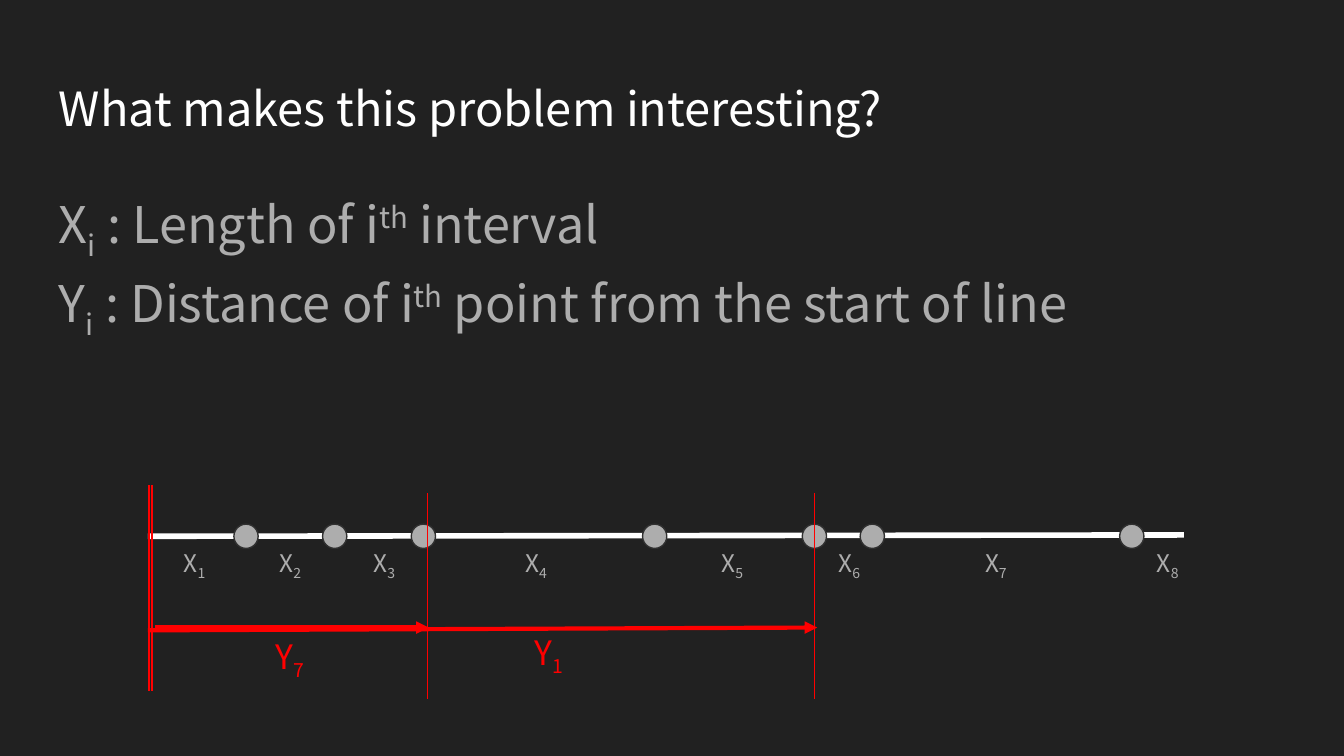
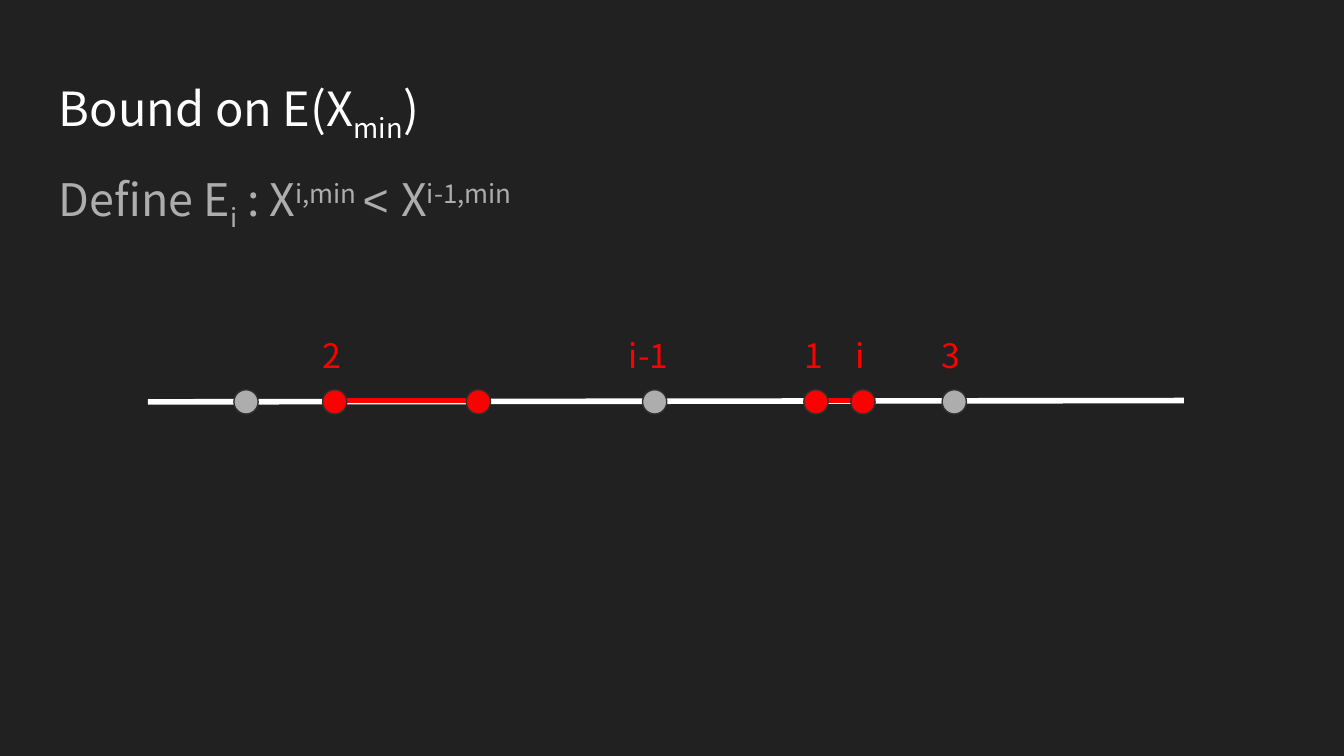
from dataclasses import dataclass
from typing import NamedTuple

from lxml import etree
from pptx import Presentation
from pptx.dml.color import RGBColor
from pptx.enum.shapes import MSO_CONNECTOR as Connector, MSO_SHAPE as Preset
from pptx.enum.text import MSO_AUTO_SIZE as AutoSize
from pptx.oxml.ns import qn
from pptx.shapes.connector import Connector as Line
from pptx.shapes.shapetree import _BaseGroupShapes as Canvas
from pptx.slide import Slide
from pptx.util import Pt


@dataclass(frozen=True)
class Theme:
    """Colours, font, type sizes and line widths of the deck."""
    font: str = "Noto Sans CJK KR"
    symbol_font: str = "Arial"
    background: RGBColor = RGBColor(0x21, 0x21, 0x21)
    white: RGBColor = RGBColor(0xFF, 0xFF, 0xFF)
    grey: RGBColor = RGBColor(0xAD, 0xAD, 0xAD)
    outline: RGBColor = RGBColor(0x30, 0x30, 0x30)
    red: RGBColor = RGBColor(0xFF, 0x00, 0x00)
    title_size: float = 25.2
    body_size: float = 27
    define_size: float = 24
    label_size: float = 13
    mark_size: float = 18
    inset: float = 7.2
    dot: float = 13
    thin: float = 0.75
    medium: float = 2.25
    thick: float = 3


THEME = Theme()
SUB, SUPER = -25000, 30000


class Piece(NamedTuple):
    """A stretch of text with its baseline shift and font."""
    text: str
    shift: int = 0
    font: str = THEME.font


class Box(NamedTuple):
    """A rectangle in points."""
    left: float
    top: float
    width: float
    height: float


class Style(NamedTuple):
    """The look of a text box."""
    size: float
    color: RGBColor
    line_spacing: float | None = None
    space_after: float | None = None
    grows: bool = True


class Point(NamedTuple):
    """A place in points."""
    x: float
    y: float


class Span(NamedTuple):
    """A measured distance with its end marks, arrow and label."""
    index: str
    start_x: float
    end_x: float
    tail: Point
    head: Point
    label: Box


class Number(NamedTuple):
    """A red number above the axis."""
    text: str
    left: float
    width: float = 31.7


TITLE = Style(THEME.title_size, THEME.white, grows=False)
BODY = Style(THEME.body_size, THEME.grey, 1.15, grows=False)
DEFINITION = Style(THEME.define_size, THEME.grey, 1.15, 12)
LABEL = Style(THEME.label_size, THEME.grey)
MARK = Style(THEME.mark_size, THEME.red)
TITLE_BOX = Box(24.5, 35.3, 671, 45.4)

INTERVAL_DOTS = [125.3, 172.8, 220.3, 344.2, 429.8, 460.8, 599.8]
INTERVAL_LABELS = [91.4, 142.6, 193, 274.3, 379.4, 442.1, 520.6, 612.7]
SPANS = [
    Span("7", 81.4, 229, Point(82.8, 336.2), Point(229.7, 336.2),
         Box(140.4, 333.4, 41.8, 36)),
    Span("1", 79.9, 436.3, Point(79.2, 337.7), Point(437.8, 336.2),
         Box(279.4, 331.2, 33.8, 36)),
]
GREY_DOTS = [125.3, 344.2, 504.7]
RED_PAIRS = [(430.6, 455.8), (172.8, 249.8)]
NUMBERS = [Number("1", 424.1), Number("i-1", 329.8, 43.2), Number("3", 497.5),
           Number("2", 165.6), Number("i", 451.4)]


def add_text(canvas: Canvas, box: Box, style: Style, *lines: list[Piece]) -> None:
    """Add a text box with one paragraph for each line."""
    text_frame = canvas.add_textbox(*map(Pt, box)).text_frame
    text_frame.word_wrap = True
    text_frame.auto_size = AutoSize.SHAPE_TO_FIT_TEXT if style.grows else AutoSize.NONE
    text_frame.margin_left = text_frame.margin_right = Pt(THEME.inset)
    text_frame.margin_top = text_frame.margin_bottom = Pt(THEME.inset)
    for number, pieces in enumerate(lines):
        paragraph = text_frame.add_paragraph() if number else text_frame.paragraphs[0]
        paragraph.line_spacing = style.line_spacing
        if style.space_after is not None:
            paragraph.space_after = Pt(style.space_after)
        for piece in pieces:
            run = paragraph.add_run()
            run.text = piece.text
            run.font.name = piece.font
            run.font.size = Pt(style.size)
            run.font.color.rgb = style.color
            if piece.shift:
                run._r.get_or_add_rPr().set("baseline", str(piece.shift))


def add_line(canvas: Canvas, start: Point, end: Point,
             color: RGBColor, width: float) -> Line:
    """Add a straight line without a shadow."""
    line = canvas.add_connector(Connector.STRAIGHT, *map(Pt, (*start, *end)))
    line.line.color.rgb = color
    line.line.width = Pt(width)
    etree.SubElement(line._element.spPr, qn("a:effectLst"))
    return line


def add_arrow(canvas: Canvas, start: Point, end: Point,
              color: RGBColor, width: float) -> None:
    """Add a straight line with a triangle at its end."""
    arrow = add_line(canvas, start, end, color, width)
    etree.SubElement(arrow.line._get_or_add_ln(), qn("a:tailEnd"), type="triangle")


def add_dot(canvas: Canvas, left: float, top: float, color: RGBColor) -> None:
    """Add a point of the number line."""
    shape = canvas.add_shape(Preset.OVAL, *map(Pt, (left, top, THEME.dot, THEME.dot)))
    shape.shadow.inherit = False
    shape.fill.solid()
    shape.fill.fore_color.rgb = color
    shape.line.color.rgb = THEME.outline
    shape.line.width = Pt(THEME.thin)


def add_axis(slide: Slide, dot_top: float, dots: list[float]) -> None:
    """Add the white number line and its grey points."""
    add_line(slide.shapes, Point(79.2, dot_top + 6.5), Point(634.3, dot_top + 5.8),
             THEME.white, THEME.thick)
    for left in dots:
        add_dot(slide.shapes, left, dot_top, THEME.grey)


def add_span(slide: Slide, span: Span) -> None:
    """Add a measured distance as a group."""
    canvas = slide.shapes.add_group_shape().shapes
    height = 110.2
    for x, top in ((span.start_x, 259.9), (span.end_x, 264.2)):
        add_line(canvas, Point(x, top), Point(x, top + height), THEME.red, THEME.thin)
    add_arrow(canvas, span.tail, span.head, THEME.red, THEME.medium)
    add_text(canvas, span.label, MARK, [Piece("Y"), Piece(span.index, SUB)])


def add_red_pair(slide: Slide, left: float, right: float, top: float) -> None:
    """Add two red points joined by a red line as a group."""
    canvas = slide.shapes.add_group_shape().shapes
    y = top + 5.8
    add_line(canvas, Point(left + THEME.dot, y), Point(right, y), THEME.red, THEME.thick)
    for dot_left in (left, right):
        add_dot(canvas, dot_left, top, THEME.red)


def add_slide(presentation: Presentation, *title: Piece) -> Slide:
    """Add a dark slide with its title."""
    slide = presentation.slides.add_slide(presentation.slide_layouts[6])
    slide.background.fill.solid()
    slide.background.fill.fore_color.rgb = THEME.background
    add_text(slide.shapes, TITLE_BOX, TITLE, list(title))
    return slide


def build_intervals(presentation: Presentation) -> None:
    """Build the slide about intervals and distances."""
    slide = add_slide(presentation, Piece("What makes this problem interesting?"))
    definitions = [("X", "Length", "interval"),
                   ("Y", "Distance", "point from the start of line")]
    add_text(slide.shapes, Box(24.5, 90.7, 671, 77), BODY, *[
        [Piece(symbol), Piece("i", SUB), Piece(f" : {measure} of i"),
         Piece("th", SUPER), Piece(f" {rest}")]
        for symbol, measure, rest in definitions])
    add_axis(slide, 280.8, INTERVAL_DOTS)
    for index, left in enumerate(INTERVAL_LABELS, start=1):
        add_text(slide.shapes, Box(left, 286.6, 28.1, 30.2), LABEL,
                 [Piece("X"), Piece(str(index), SUB)])
    for span in SPANS:
        add_span(slide, span)


def build_bound(presentation: Presentation) -> None:
    """Build the slide about the bound on the smallest interval."""
    slide = add_slide(presentation, Piece("Bound on E(X"), Piece("min", SUB), Piece(")"))
    add_text(slide.shapes, Box(24.5, 79.9, 678.2, 43.9), DEFINITION, [
        Piece("Define E"), Piece("i", SUB), Piece(" : X"), Piece("i,min ", SUPER),
        Piece("< ", font=THEME.symbol_font), Piece("X"), Piece("i-1,min", SUPER)])
    dot_top = 208.8
    add_axis(slide, dot_top, GREY_DOTS)
    for number in NUMBERS:
        add_text(slide.shapes, Box(number.left, 172.1, number.width, 36), MARK,
                 [Piece(number.text)])
    for left, right in RED_PAIRS:
        add_red_pair(slide, left, right, dot_top)


def main() -> None:
    """Build and save the deck."""
    presentation = Presentation()
    presentation.slide_width = Pt(720)
    presentation.slide_height = Pt(405)
    build_intervals(presentation)
    build_bound(presentation)
    presentation.save("out.pptx")


if __name__ == "__main__":
    main()
